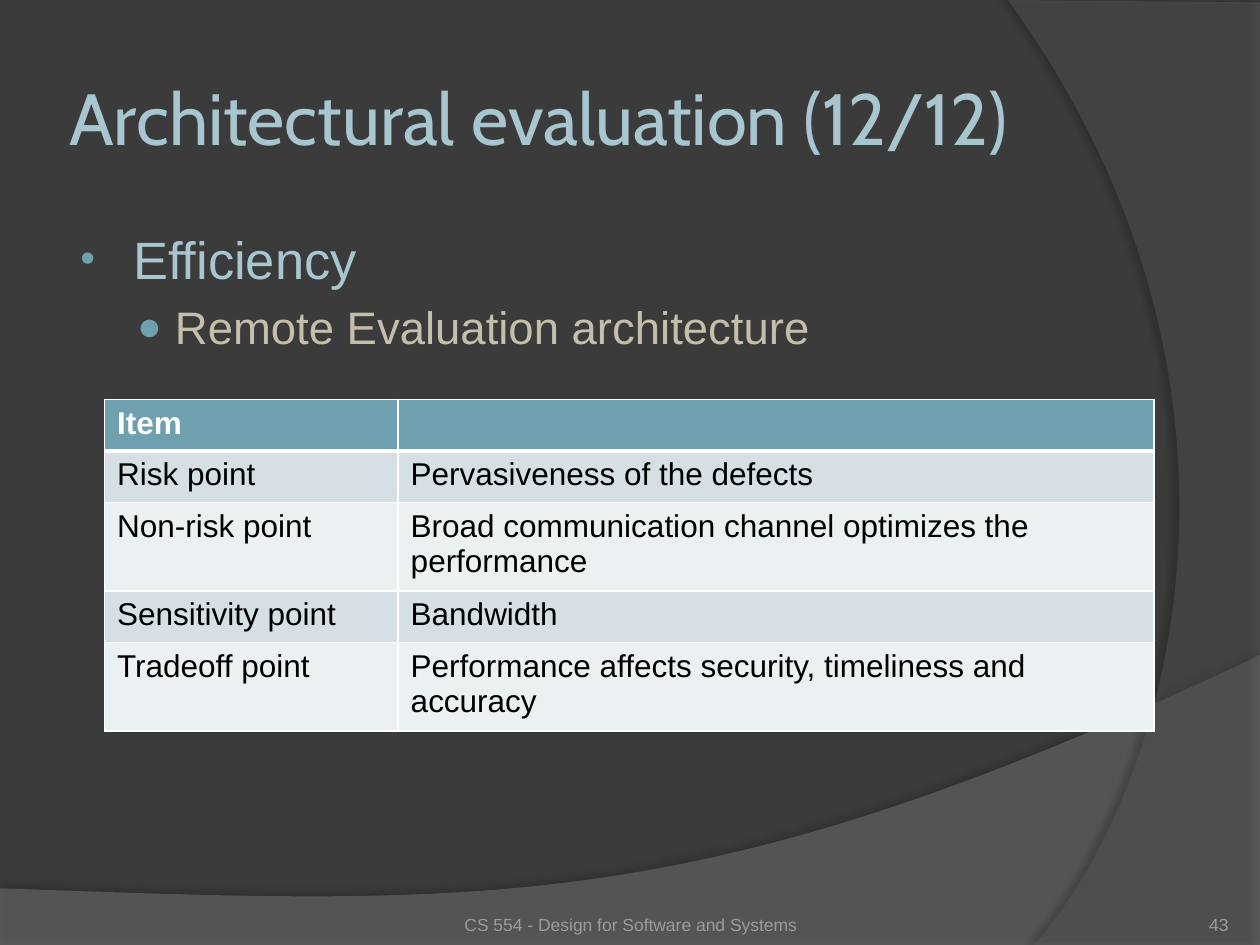
from dataclasses import dataclass
from typing import Optional

from lxml.etree import SubElement
from pptx import Presentation
from pptx.dml.color import RGBColor
from pptx.enum.text import MSO_ANCHOR, PP_ALIGN
from pptx.oxml.ns import qn
from pptx.util import Inches, Pt


@dataclass(frozen=True)
class Theme:
    """Colours, fonts and type sizes."""
    back: str = "3B3B3B"
    title: str = "A8C6D0"
    detail: str = "C5BEAB"
    accent: str = "6EA0B0"
    muted: str = "9D9B9A"
    white: str = "FFFFFF"
    black: str = "000000"
    bands: tuple[str, str] = ("D5DFE4", "EBF0F2")
    head_font: str = "Cabin"
    font: str = "Arial"
    title_size: float = 41.4
    bullet_sizes: tuple[int, int] = (30, 26)
    table_size: int = 18
    small_size: int = 10


@dataclass(frozen=True)
class Swoosh:
    """Curved background area; each curve is a cubic Bezier, other points are corners."""
    corners: list[tuple[float, float]]
    curve: list[tuple[float, float]]
    color: str
    alpha: int
    shadow_alpha: int
    shadow_dist: float
    shadow_dir: int


@dataclass(frozen=True)
class Bullet:
    """One line of the bulleted list."""
    text: str
    level: int
    color: str
    char: str
    char_size: int
    left: float
    hang: float


@dataclass(frozen=True)
class Footer:
    """Small text at the bottom of the slide."""
    text: str
    left: float
    width: float
    align: PP_ALIGN
    inset: float = 0


T = Theme()
SWOOSHES = [
    Swoosh([(0, 7.05), (0, 7.5), (10, 7.5), (10, 5.2)],
           [(10, 5.2), (5.59, 7.29), (3.91, 7.19), (0, 7.05)], "7F7F7F", 45, 35, 3.5, 270),
    Swoosh([(8, 0), (10, 0.02), (10, 7.5), (8.21, 7.5)],
           [(8.21, 7.5), (9.35, 6.19), (10.18, 3), (8, 0)], "5E5E5E", 40, 45, 4, 180),
]
BULLETS = [
    Bullet("Efficiency", 0, T.title, "•", 80, 0.46, 0.42),
    Bullet("Remote Evaluation architecture", 1, T.detail, "●", 90, 0.79, 0.3),
]
ROWS = [
    ("Item", "", 0.41),
    ("Risk point", "Pervasiveness of the defects", 0.41),
    ("Non-risk point", "Broad communication channel optimizes the performance", 0.66),
    ("Sensitivity point", "Bandwidth", 0.41),
    ("Tradeoff point", "Performance affects security, timeliness and accuracy", 0.66),
]
COLUMNS = (2.33, 6)
FOOTERS = [
    Footer("43", 8.92, 0.83, PP_ALIGN.RIGHT),
    Footer("CS 554 - Design for Software and Systems", 3.42, 3.17, PP_ALIGN.CENTER, 0.05),
]


def rgb(color: str) -> RGBColor:
    """Turn a hex string into a colour."""
    return RGBColor.from_string(color)


def write(p, text: str, *, size: float, color: str, font: str = T.font,
          bold: bool = False, align: Optional[PP_ALIGN] = PP_ALIGN.LEFT) -> None:
    """Add a formatted run to a paragraph."""
    p.alignment = align
    r = p.add_run()
    r.text = text
    r.font.name, r.font.size, r.font.bold = font, Pt(size), bold
    r.font.color.rgb = rgb(color)


def set_insets(tf, left: float, top: float, right: float, bottom: float) -> None:
    """Set the margins of a text frame."""
    tf.margin_left, tf.margin_top = Inches(left), Inches(top)
    tf.margin_right, tf.margin_bottom = Inches(right), Inches(bottom)


def add_color(parent, color: str, alpha: int = 100) -> None:
    """Append a colour element with opacity in percent."""
    clr = SubElement(parent, qn("a:srgbClr"), val=color)
    SubElement(clr, qn("a:alpha"), val=str(alpha * 1000))


def bezier(curve: list[tuple[float, float]], steps: int = 60) -> list[tuple[float, float]]:
    """Sample a cubic Bezier curve after its start point."""
    points = []
    for i in range(1, steps + 1):
        t = i / steps
        weights = ((1 - t) ** 3, 3 * t * (1 - t) ** 2, 3 * t * t * (1 - t), t ** 3)
        points.append(tuple(sum(w * c[k] for w, c in zip(weights, curve)) for k in (0, 1)))
    return points


def add_swoosh(s, item: Swoosh) -> None:
    """Draw a translucent curved area with an outer shadow."""
    points = [(Inches(x), Inches(y)) for x, y in item.corners + bezier(item.curve)]
    builder = s.shapes.build_freeform(*points[0])
    builder.add_line_segments(points[1:], close=True)
    sp = builder.convert_to_shape()
    sp.fill.solid()
    sp.fill.fore_color.rgb = rgb(item.color)
    clr = sp.fill._xPr.find(qn("a:solidFill"))[0]
    SubElement(clr, qn("a:alpha"), val=str(item.alpha * 1000))
    sp.line.fill.background()
    sp.shadow.inherit = False
    effects = sp._element.spPr.find(qn("a:effectLst"))
    shadow = SubElement(effects, qn("a:outerShdw"), blurRad=str(Pt(4)),
                        dist=str(Pt(item.shadow_dist)), dir=str(item.shadow_dir * 60000),
                        algn="ctr", rotWithShape="0")
    add_color(shadow, T.black, item.shadow_alpha)


def add_title(s, text: str) -> None:
    """Place and format the title placeholder."""
    sp = s.shapes.title
    sp.left, sp.top, sp.width, sp.height = (Inches(v) for v in (0.5, 0.3, 8.17, 1.25))
    tf = sp.text_frame
    tf.vertical_anchor = MSO_ANCHOR.MIDDLE
    set_insets(tf, 0.05, 0.05, 0.05, 0.05)
    write(tf.paragraphs[0], text, size=T.title_size, color=T.title, font=T.head_font)


def add_textbox(s, left: float, top: float, width: float, height: float):
    """Add a wrapping text box and return its text frame."""
    tf = s.shapes.add_textbox(Inches(left), Inches(top), Inches(width), Inches(height)).text_frame
    tf.word_wrap = True
    return tf


def add_bullets(s, bullets: list[Bullet]) -> None:
    """Write the bulleted list."""
    tf = add_textbox(s, 0.5, 1.75, 9, 5.17)
    for i, item in enumerate(bullets):
        p = tf.add_paragraph() if i else tf.paragraphs[0]
        size = T.bullet_sizes[item.level]
        p.level, p.space_before = item.level, Pt(size * 0.2)
        pPr = p._p.get_or_add_pPr()
        pPr.set("marL", str(Inches(item.left)))
        pPr.set("indent", str(-Inches(item.hang)))
        add_color(SubElement(pPr, qn("a:buClr")), T.accent)
        SubElement(pPr, qn("a:buSzPct"), val=str(item.char_size * 1000))
        SubElement(pPr, qn("a:buFont"), typeface=T.font)
        SubElement(pPr, qn("a:buChar"), char=item.char)
        write(p, item.text, size=size, color=item.color)


def format_cell(cell, fill: str, bottom: int, top: int) -> None:
    """Give a cell its borders and fill."""
    tcPr = cell._tc.get_or_add_tcPr()
    for side, width in (("L", 1), ("R", 1), ("T", top), ("B", bottom)):
        ln = SubElement(tcPr, qn(f"a:ln{side}"), w=str(Pt(width)))
        add_color(SubElement(ln, qn("a:solidFill")), T.white)
    cell.fill.solid()
    cell.fill.fore_color.rgb = rgb(fill)


def add_evaluation_table(s) -> None:
    """Build the table of evaluation points."""
    table = s.shapes.add_table(len(ROWS), len(COLUMNS), Inches(0.83), Inches(3.17),
                               Inches(sum(COLUMNS)), Inches(sum(r[-1] for r in ROWS))).table
    for column, width in zip(table.columns, COLUMNS):
        column.width = Inches(width)
    for i, (*texts, height) in enumerate(ROWS):
        table.rows[i].height = Inches(height)
        head = i == 0
        for j, text in enumerate(texts):
            cell = table.cell(i, j)
            format_cell(cell, T.accent if head else T.bands[(i - 1) % 2],
                        bottom=3 if head else 1, top=3 if i == 1 else 1)
            if text:
                write(cell.text_frame.paragraphs[0], text, size=T.table_size,
                      color=T.white if head else T.black, bold=head)


def add_footer(s, item: Footer) -> None:
    """Write a small bottom-aligned footer text."""
    tf = add_textbox(s, item.left, 7.02, item.width, 0.4)
    tf.vertical_anchor = MSO_ANCHOR.BOTTOM
    set_insets(tf, 0, item.inset, 0, 0)
    write(tf.paragraphs[0], item.text, size=T.small_size, color=T.muted, align=item.align)


def main() -> None:
    """Build and save the slide."""
    prs = Presentation()
    prs.slide_width, prs.slide_height = Inches(10), Inches(7.5)
    s = prs.slides.add_slide(prs.slide_layouts[5])
    s.background.fill.solid()
    s.background.fill.fore_color.rgb = rgb(T.back)
    for swoosh in SWOOSHES:
        add_swoosh(s, swoosh)
    add_title(s, "Architectural evaluation (12/12)")
    add_bullets(s, BULLETS)
    add_evaluation_table(s)
    for footer in FOOTERS:
        add_footer(s, footer)
    prs.save("out.pptx")


main()
